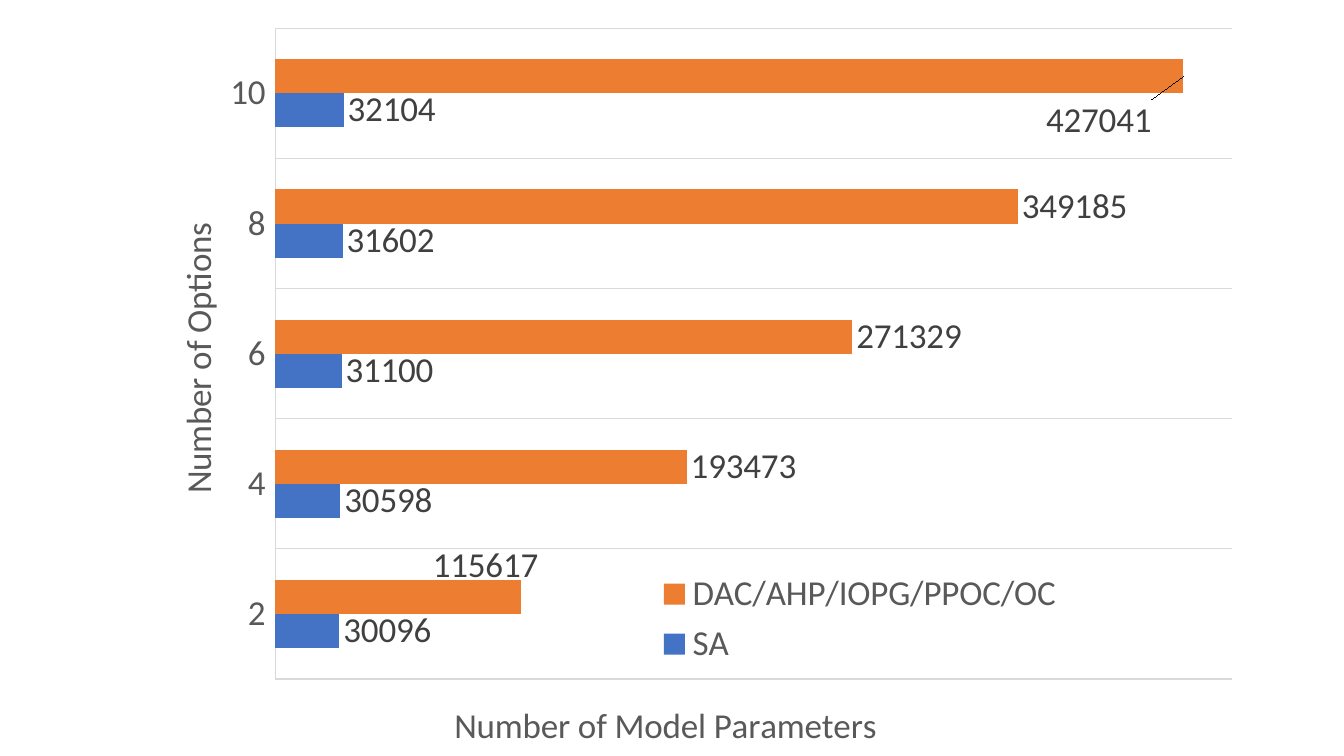
from typing import NamedTuple

from pptx import Presentation
from pptx.chart.data import CategoryChartData
from pptx.dml.color import RGBColor
from pptx.enum.chart import (XL_CHART_TYPE, XL_LABEL_POSITION,
                             XL_LEGEND_POSITION, XL_TICK_LABEL_POSITION,
                             XL_TICK_MARK)
from pptx.oxml import parse_xml
from pptx.oxml.ns import nsdecls
from pptx.util import Inches, Pt

BAR_CLUSTERED = XL_CHART_TYPE.BAR_CLUSTERED
OUTSIDE_END = XL_LABEL_POSITION.OUTSIDE_END
LEGEND_BOTTOM = XL_LEGEND_POSITION.BOTTOM
LABELS_LOW = XL_TICK_LABEL_POSITION.LOW
NO_TICK = XL_TICK_MARK.NONE

FONT = "Calibri"
FONT_SIZE = 25
COLORS = {
    "blue": "4472C4",
    "orange": "ED7D31",
    "grid": "D9D9D9",
    "axis_text": "595959",
    "label_text": "404040",
    "black": "000000",
}


class Method(NamedTuple):
    name: str
    color: str
    parameters: tuple[int, ...]
    label_shifts: dict[int, tuple[float, float]]


OPTIONS = ("2", "4", "6", "8", "10")
METHODS = (
    Method("SA", "blue", (30096, 30598, 31100, 31602, 32104), {}),
    Method("DAC/AHP/IOPG/PPOC/OC", "orange",
           (115617, 193473, 271329, 349185, 427041),
           {0: (-0.068, -0.039), 4: (-0.104, 0.055)}),
)


def rgb(color: str) -> RGBColor:
    return RGBColor.from_string(COLORS[color])


def style_font(font, color: str) -> None:
    font.name = FONT
    font.size = Pt(FONT_SIZE)
    font.bold = False
    font.color.rgb = rgb(color)


def style_line(line) -> None:
    line.color.rgb = rgb("grid")
    line.width = Pt(0.75)


def place(element, index: int, x: float, y: float,
          size: tuple[float, float] | None = None,
          mode: str = "edge", inner: bool = False) -> None:
    """Set a manual layout, in fractions of the chart."""
    for layout in element.xpath("./c:layout"):
        element.remove(layout)
    parts = ['<c:layoutTarget val="inner"/>'] if inner else []
    if mode == "edge":
        parts += ['<c:xMode val="edge"/>', '<c:yMode val="edge"/>']
    parts += [f'<c:x val="{x}"/>', f'<c:y val="{y}"/>']
    if size:
        parts += [f'<c:w val="{size[0]}"/>', f'<c:h val="{size[1]}"/>']
    element.insert(index, parse_xml(
        f'<c:layout {nsdecls("c")}><c:manualLayout>{"".join(parts)}'
        '</c:manualLayout></c:layout>'))


def add_axis_title(axis, text: str, x: float, y: float, rotation: int) -> None:
    frame = axis.axis_title.text_frame
    span = frame.paragraphs[0].add_run()
    span.text = text
    style_font(span.font, "axis_text")
    title = axis.axis_title.element
    title.xpath(".//a:bodyPr")[0].set("rot", str(rotation * 60000))
    place(title, 1, x, y)


def style_series(series, method: Method) -> None:
    series.format.fill.solid()
    series.format.fill.fore_color.rgb = rgb(method.color)
    series.invert_if_negative = False
    labels = series.data_labels
    labels.show_value = True
    labels.position = OUTSIDE_END
    style_font(labels.font, "label_text")
    for index, (x, y) in method.label_shifts.items():
        label = series.points[index].data_label
        style_font(label.font, "label_text")
        label.position = OUTSIDE_END
        element = labels._element.xpath(f"./c:dLbl[c:idx/@val={index}]")[0]
        place(element, 1, x, y, mode="factor")


deck = Presentation()
deck.slide_width, deck.slide_height = Inches(13.33), Inches(7.5)
page = deck.slides.add_slide(deck.slide_layouts[6])

# Chart
data = CategoryChartData()
data.categories = OPTIONS
for method in METHODS:
    data.add_series(method.name, method.parameters)
chart = page.shapes.add_chart(BAR_CLUSTERED, Inches(-1.11), Inches(0.13),
                              Inches(13.48), Inches(7.98), data).chart
chart.has_title = False
style_font(chart.font, "black")
plot = chart.plots[0]
plot.gap_width = 182
plot.overlap = 0
plot.vary_by_categories = False
for series, method in zip(plot.series, METHODS):
    style_series(series, method)
place(chart.element.xpath(".//c:plotArea")[0], 0, 0.285, 0.019,
      (0.704, 0.809), inner=True)

# Axes
options_axis = chart.category_axis
options_axis.major_tick_mark = options_axis.minor_tick_mark = NO_TICK
options_axis.tick_label_position = LABELS_LOW
style_font(options_axis.tick_labels.font, "axis_text")
style_line(options_axis.format.line)
options_axis.has_major_gridlines = True
style_line(options_axis.major_gridlines.format.line)
add_axis_title(options_axis, "Number of Options", 0.206, 0.253, -90)

parameters_axis = chart.value_axis
parameters_axis.minimum_scale, parameters_axis.maximum_scale = 0, 450000
parameters_axis.has_major_gridlines = False
parameters_axis.visible = False
add_axis_title(parameters_axis, "Number of Model Parameters", 0.412, 0.848, 0)

# Legend
chart.has_legend = True
legend = chart.legend
legend.position = LEGEND_BOTTOM
legend.include_in_layout = False
style_font(legend.font, "axis_text")
place(legend._element, 1, 0.565, 0.686, (0.3, 0.135))

deck.save("out.pptx")
